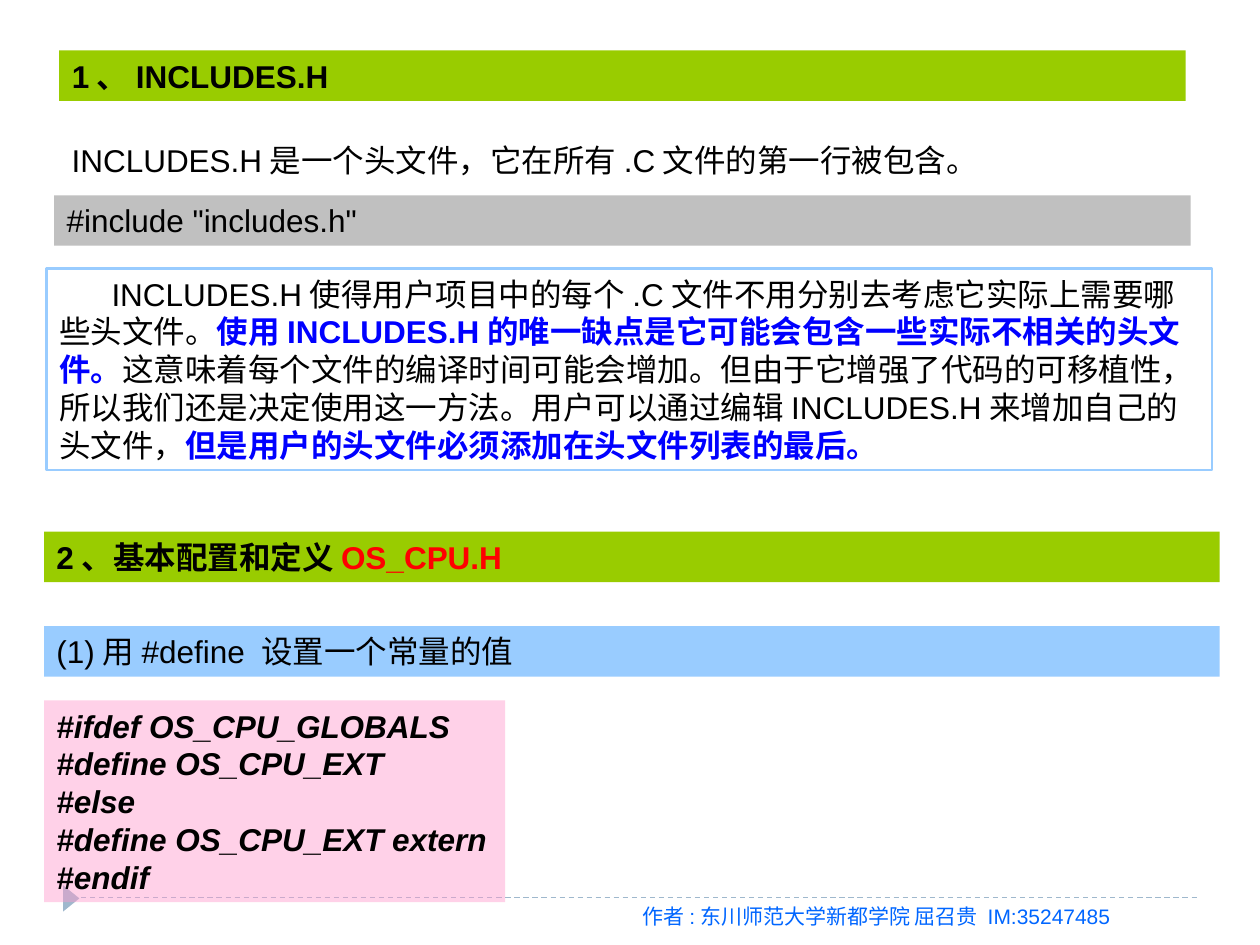
from lxml import etree
from pptx import Presentation, util as u
from pptx.dml.color import RGBColor
from pptx.enum import dml, shapes, text
from pptx.oxml.ns import qn

WIDE, HIGH = 10, 7.5
BLACK = RGBColor(0, 0, 0)
BLUE = RGBColor(0, 0, 255)
RED = RGBColor(255, 0, 0)
GREEN = RGBColor(0x99, 0xCC, 0)
GRAY = RGBColor(0xC0, 0xC0, 0xC0)
SKY = RGBColor(0x99, 0xCC, 0xFF)
PINK = RGBColor(0xFF, 0x99, 0xCC)
STEEL = RGBColor(0x9F, 0xB8, 0xCD)
INK = RGBColor(0, 0x66, 0xFF)

CODE = """#ifdef OS_CPU_GLOBALS
#define OS_CPU_EXT
#else
#define OS_CPU_EXT extern
#endif""".splitlines()

BODY = [
    ("INCLUDES.H使得用户项目中的每个.C文件不用分别去考虑它实际上需要哪些头文件。", BLACK, False),
    ("使用INCLUDES.H的唯一缺点是它可能会包含一些实际不相关的头文件。", BLUE, True),
    ("这意味着每个文件的编译时间可能会增加。但由于它增强了代码的可移植性，"
     "所以我们还是决定使用这一方法。用户可以通过编辑INCLUDES.H来增加自己的头文件，", BLACK, False),
    ("但是用户的头文件必须添加在头文件列表的最后。", BLUE, True),
]


def place(shape, box):
    """Move a shape to a box of left, top, width and height in inches."""
    shape.left, shape.top, shape.width, shape.height = map(u.Inches, box)


def write(shape, lines, size=18, color=BLACK, bold=False, slant=False):
    """Fill a shape with lines; a line is a string or a list of (words, color, bold)."""
    frame = shape.text_frame
    frame.word_wrap = True
    frame.auto_size = text.MSO_AUTO_SIZE.NONE
    frame.vertical_anchor = text.MSO_ANCHOR.TOP
    for row, line in enumerate(lines):
        para = frame.add_paragraph() if row else frame.paragraphs[0]
        para.alignment = text.PP_ALIGN.LEFT
        para.font.name, para.font.size = "Arial", u.Pt(size)
        para.font.bold, para.font.italic = bold, slant
        para.font.color.rgb = color
        for words, tint, heavy in [(line, color, bold)] if isinstance(line, str) else line:
            run = para.add_run()
            run.text = words
            run.font.name, run.font.size = "Arial", u.Pt(size)
            run.font.bold, run.font.italic = heavy, slant
            run.font.color.rgb = tint


def paint(shape, fill=None, edge=None):
    """Give a shape a plain fill and edge, or none."""
    if fill is None:
        shape.fill.background()
    else:
        shape.fill.solid()
        shape.fill.fore_color.rgb = fill
    if edge is None:
        shape.line.fill.background()
    else:
        shape.line.color.rgb = edge
        shape.line.width = u.Pt(1.5)


def panel(slide, box, lines, fill=None, edge=None, **style):
    """Add a rectangle with text."""
    shape = slide.shapes.add_shape(shapes.MSO_SHAPE.RECTANGLE, *map(u.Inches, box))
    shape.shadow.inherit = False
    paint(shape, fill, edge)
    write(shape, lines, **style)
    return shape


def label(slide, box, line, **style):
    """Add a bare line of text."""
    write(slide.shapes.add_textbox(*map(u.Inches, box)), [line], **style)


def footer(slide, box):
    """Add the dashed rule, its marker and the credit line."""
    left, top, width, height = box
    rule = slide.shapes.add_connector(
        shapes.MSO_CONNECTOR.STRAIGHT,
        *map(u.Inches, (left, top, left + width, top)))
    rule.line.color.rgb = STEEL
    rule.line.width = u.Pt(0.75)
    rule.line.dash_style = dml.MSO_LINE.DASH
    etree.SubElement(rule._element.spPr, qn("a:effectLst"))
    mark = slide.shapes.add_shape(
        shapes.MSO_SHAPE.ISOSCELES_TRIANGLE,
        *map(u.Inches, (left - 0.04, top - 0.06, 0.21, 0.13)))
    mark.rotation = 90
    mark.shadow.inherit = False
    paint(mark, STEEL)
    label(slide, (left + width / 2, top, 4.75, height),
          "作者:东川师范大学新都学院 屈召贵 IM:35247485", size=12, color=INK)


def include(slide, box):
    """Add the section on the common header file."""
    left, top, width, high = box
    row = 0.4
    title = slide.shapes.title
    place(title, (left + 0.1, top, width - 0.31, row))
    paint(title, GREEN)
    write(title, ["1、INCLUDES.H"], bold=True)
    label(slide, (left + 0.1, top + 0.67, width - 0.39, row),
          "INCLUDES.H是一个头文件，它在所有.C文件的第一行被包含。")
    panel(slide, (left + 0.06, top + 1.15, width - 0.23, row),
          ['#include "includes.h"'], GRAY)
    body = panel(slide, (left, top + high - 4 * row, width, 4 * row), [BODY], edge=SKY)
    body.text_frame.paragraphs[0]._p.get_or_add_pPr().set("indent", str(u.Pt(30)))


def define(slide, box):
    """Add the section on basic settings with its code."""
    left, top, width, high = box
    row = 0.4
    panel(slide, (left, top, width, row),
          [[("2、基本配置和定义", BLACK, True), ("OS_CPU.H", RED, True)]], GREEN)
    panel(slide, (left, top + 0.75, width, row), ["(1)用#define 设置一个常量的值"], SKY)
    code = panel(slide, (left, top + high - 4 * row, 3.66, 4 * row), CODE, PINK,
                 bold=True, slant=True)
    tint = code._element.spPr.find(qn("a:solidFill"))[0]
    etree.SubElement(tint, qn("a:alpha"), val="45000")


def main():
    """Build the slide and save it."""
    deck = Presentation()
    deck.slide_width, deck.slide_height = u.Inches(WIDE), u.Inches(HIGH)
    slide = deck.slides.add_slide(deck.slide_layouts[5])
    footer(slide, (0.05 * WIDE, 0.95 * HIGH, 0.9 * WIDE, 0.04 * HIGH))
    include(slide, (0.37, 0.4, 9.25, 3.33))
    define(slide, (0.35, 4.22, 9.33, 2.94))
    deck.save("out.pptx")


if __name__ == "__main__":
    main()
